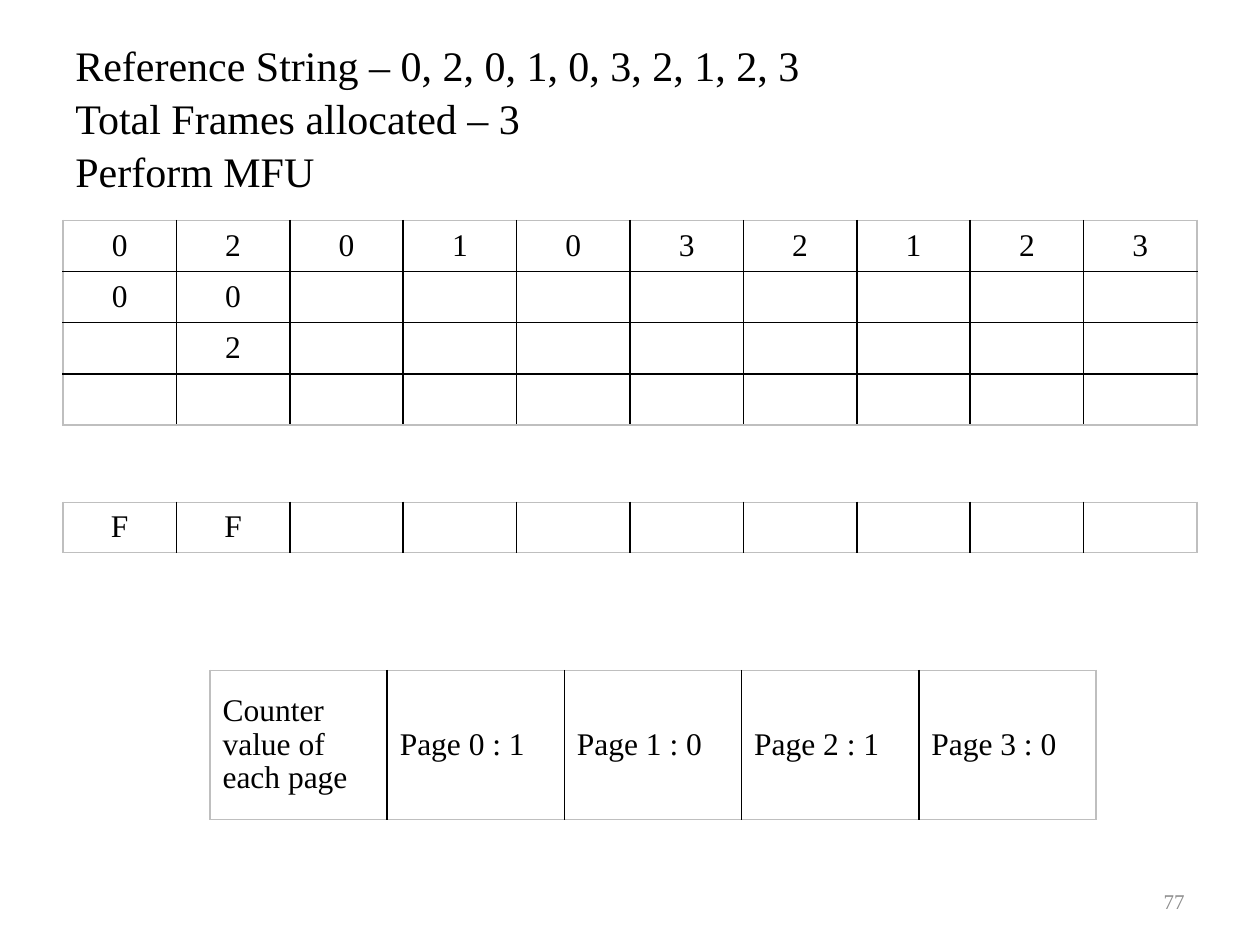
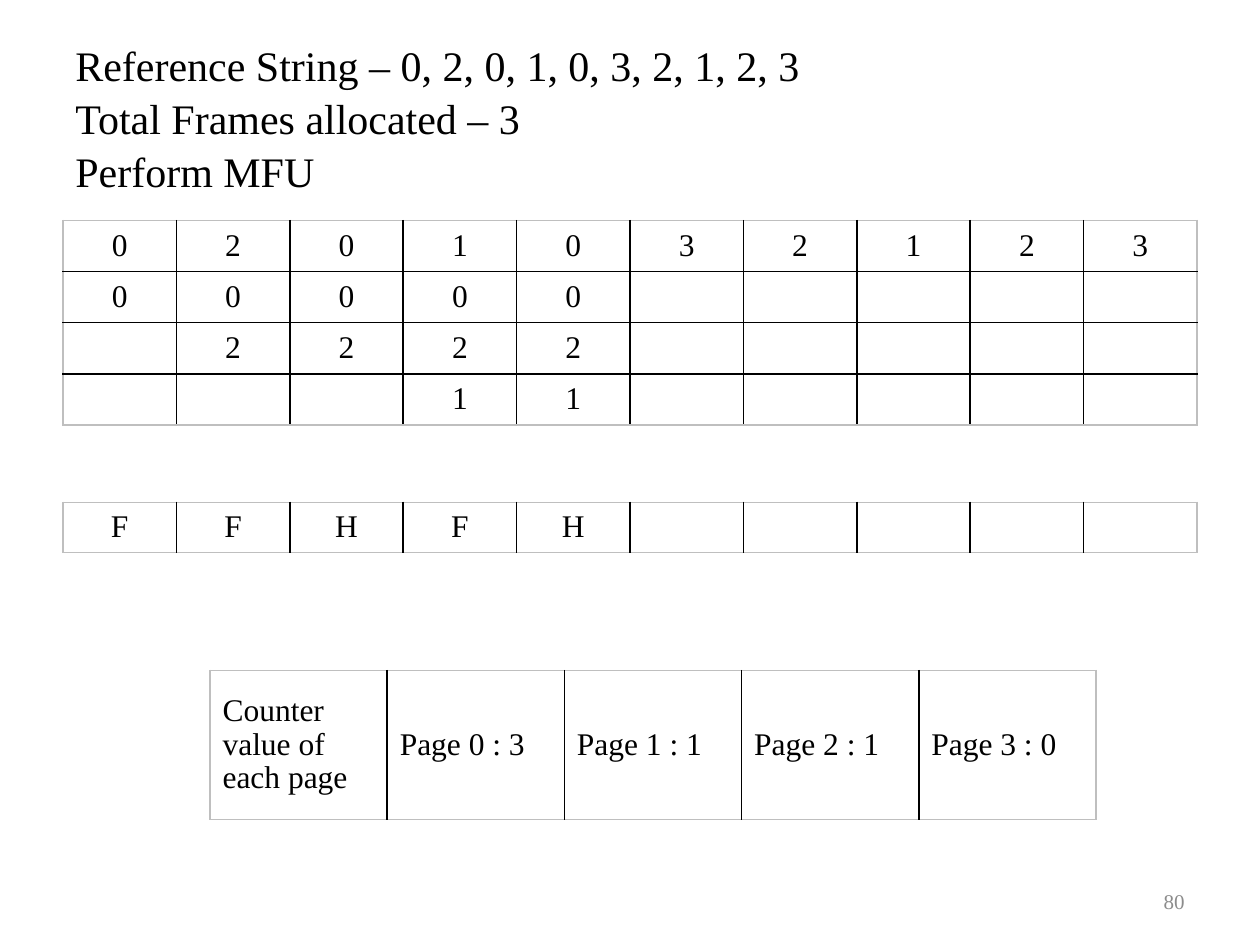
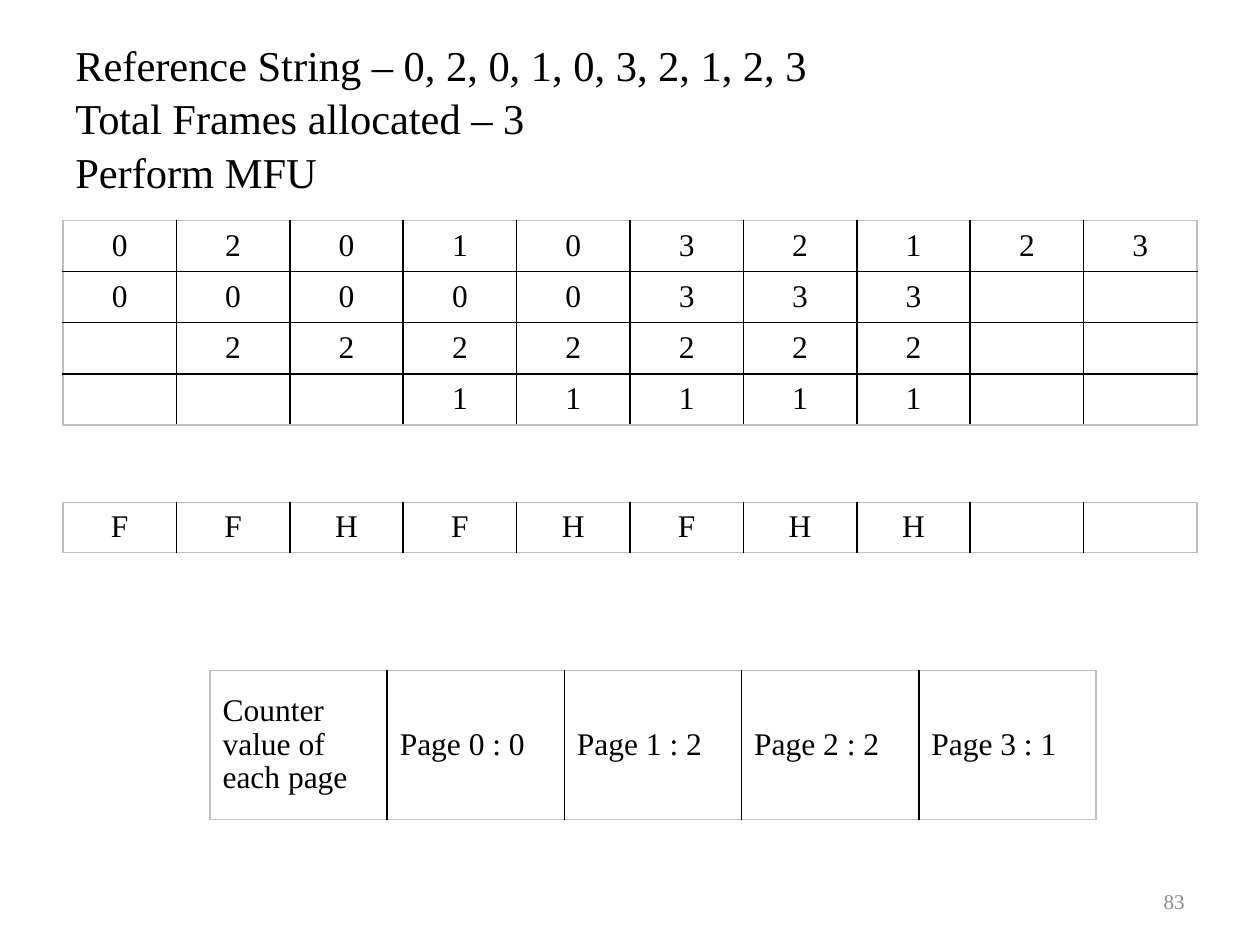
from dataclasses import dataclass

from lxml.etree import SubElement
from pptx import Presentation
from pptx.dml.color import RGBColor
from pptx.enum.text import MSO_ANCHOR, PP_ALIGN
from pptx.oxml.ns import qn
from pptx.util import Pt


@dataclass(frozen=True)
class Theme:
    """Hold the colours, font and type sizes of the deck."""
    font: str = "Times New Roman"
    ink: str = "000000"
    edge: str = "BFBFBF"
    mute: str = "8C8C8C"
    head: float = 24
    body: float = 18
    foot: float = 12
    line: float = 1


THEME = Theme()
REFS = "0201032123"
ROWS = ("00000333", " 2222222", "   11111")
HITS = "FFHFHFHH"
HEAD = ("Reference String – " + ", ".join(REFS),
        "Total Frames allocated – 3", "Perform MFU")
STEPS = (
    {"num": 77, "step": 2, "uses": (1, 0, 1, 0), "size": THEME.head},
    {"num": 80, "step": 5, "uses": (3, 1, 1, 0), "size": THEME.head},
    {"num": 83, "step": 8, "uses": (0, 2, 2, 1), "size": 24.3},
)


def apply(item, form):
    """Set each attribute named in form on item."""
    for name, value in form.items():
        setattr(item, name, value)


def write(frame, text, size, tint=THEME.ink, **form):
    """Write one styled paragraph into a text frame."""
    para = frame.paragraphs[0]
    para.text = text
    apply(para, form)
    for run in para.runs:
        apply(run.font, {"name": THEME.font, "size": Pt(size)})
        run.font.color.rgb = RGBColor.from_string(tint)


def add_text(slide, box, text, size, tint=THEME.ink, **form):
    """Place a wrapped, vertically centred text box."""
    frame = slide.shapes.add_textbox(*map(Pt, box)).text_frame
    apply(frame, {"word_wrap": True, "vertical_anchor": MSO_ANCHOR.MIDDLE})
    write(frame, text, size, tint, **form)


def rule(cell, outer):
    """Draw four cell borders, paler where the table ends."""
    props = cell._tc.get_or_add_tcPr()
    for side, rim in zip("LRTB", outer):
        line = SubElement(props, qn(f"a:ln{side}"), w=str(Pt(THEME.line)))
        fill = SubElement(line, qn("a:solidFill"))
        SubElement(fill, qn("a:srgbClr"), val=THEME.edge if rim else THEME.ink)


def add_grid(slide, box, rows, align):
    """Fill a box with a table of equal rows and columns."""
    high, wide = len(rows), len(rows[0])
    table = slide.shapes.add_table(high, wide, *map(Pt, box)).table
    apply(table, {"first_row": False, "horz_banding": False})
    for col in table.columns:
        col.width = Pt(box[2] / wide)
    for y, row in enumerate(rows):
        table.rows[y].height = Pt(box[3] / high)
        for x, text in enumerate(row):
            cell = table.cell(y, x)
            cell.vertical_anchor = MSO_ANCHOR.MIDDLE
            write(cell.text_frame, text.strip(), THEME.body,
                  alignment=align, line_spacing=0.96)
            rule(cell, (x == 0, x == wide - 1, y == 0, y == high - 1))
            cell.fill.background()


def add_step(deck, num, step, uses, size):
    """Build one slide that shows the paging state after a step."""
    slide = deck.slides.add_slide(deck.slide_layouts[6])
    wide = len(REFS)
    frames = [row[:step].ljust(wide) for row in ROWS]
    pages = [f"Page {page} : {count}" for page, count in enumerate(uses)]
    add_text(slide, (36, 21.6, 648, 90), "\v".join(HEAD), size,
             line_spacing=1.05)
    add_grid(slide, (36, 126, 648, 116.8), [REFS, *frames], PP_ALIGN.CENTER)
    add_grid(slide, (36, 287, 648, 28.4), [HITS[:step].ljust(wide)],
             PP_ALIGN.CENTER)
    add_grid(slide, (120, 383.2, 506.4, 85),
             [["Counter value of each page", *pages]], PP_ALIGN.LEFT)
    add_text(slide, (516, 500.5, 168, 28.8), str(num), THEME.foot, THEME.mute,
             alignment=PP_ALIGN.RIGHT)


def main():
    """Build and save the deck."""
    deck = Presentation()
    apply(deck, {"slide_width": Pt(720), "slide_height": Pt(540)})
    for step in STEPS:
        add_step(deck, **step)
    deck.save("out.pptx")


if __name__ == "__main__":
    main()
